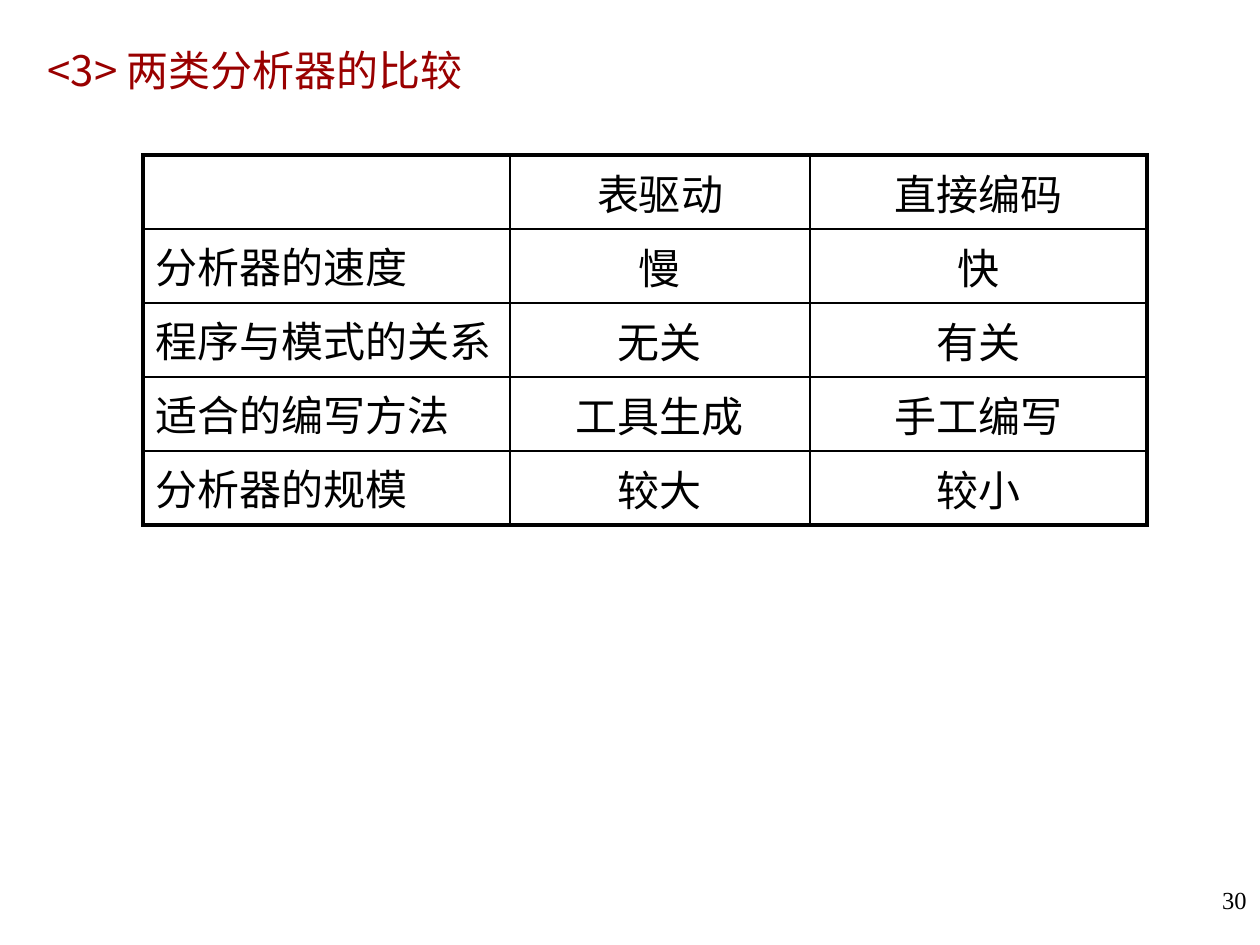
import lxml.etree
import pptx
import pptx.dml.color
import pptx.enum.text
import pptx.oxml.ns
import pptx.util

EMU_PER_PX = 914400 / 126
BLACK = pptx.dml.color.RGBColor(0x00, 0x00, 0x00)
DARK_RED = pptx.dml.color.RGBColor(0x99, 0x00, 0x00)
LATIN_FONT = "Times New Roman"
CHINESE_FONT = "Noto Sans CJK SC"
THICK, THIN = 2.25, 1
ALIGN = pptx.enum.text.PP_ALIGN
ANCHOR = pptx.enum.text.MSO_ANCHOR

COMPARISON = [
    ["", "表驱动", "直接编码"],
    ["分析器的速度", "慢", "快"],
    ["程序与模式的关系", "无关", "有关"],
    ["适合的编写方法", "工具生成", "手工编写"],
    ["分析器的规模", "较大", "较小"],
]


def px(length):
    return pptx.util.Emu(round(length * EMU_PER_PX))


def add_child(parent, tag, **attributes):
    return lxml.etree.SubElement(parent, pptx.oxml.ns.qn(tag), **attributes)


class SlideBuilder:
    """Holds the current slide and its text style."""

    def __init__(self, slide, text_size=24):
        self.slide = slide
        self.text_size = text_size

    def add_span(self, para, text, align, size=None, font=LATIN_FONT, color=BLACK):
        para.alignment = align
        span = para.add_run()
        span.text = text
        span.font.size = pptx.util.Pt(size or self.text_size)
        span.font.bold = False
        span.font.name = font
        span.font.color.rgb = color
        add_child(span.font._element, "a:ea", typeface=CHINESE_FONT)

    def title(self, text, left, top, width, height):
        box = self.slide.shapes.title
        box.left, box.top, box.width, box.height = map(px, (left, top, width, height))
        box.text_frame.vertical_anchor = ANCHOR.MIDDLE
        self.add_span(box.text_frame.paragraphs[0], text, ALIGN.LEFT,
                      font=CHINESE_FONT, color=DARK_RED)

    def page_number(self, text, left, top, width, height):
        box = self.slide.shapes.add_textbox(*map(px, (left, top, width, height)))
        box.text_frame.word_wrap = True
        self.add_span(box.text_frame.paragraphs[0], text, ALIGN.RIGHT, size=14)

    def borders(self, cell, widths):
        """Draw the left, right, top and bottom lines, with widths in points."""
        properties = cell._tc.get_or_add_tcPr()
        for index, (side, width) in enumerate(zip("LRTB", widths)):
            line = add_child(properties, "a:ln" + side, w=str(pptx.util.Pt(width)))
            fill = add_child(line, "a:solidFill")
            add_child(fill, "a:srgbClr", val=str(BLACK))
            properties.insert(index, line)

    def table(self, rows, left, top, column_widths, row_height):
        """Add a plain grid with a thick frame and thin inner lines."""
        last_row, last_column = len(rows) - 1, len(column_widths) - 1
        frame = self.slide.shapes.add_table(
            len(rows), len(column_widths), px(left), px(top),
            px(sum(column_widths)), px(row_height * len(rows)))
        grid = frame.table
        grid.first_row = grid.horz_banding = False
        for column, width in zip(grid.columns, column_widths):
            column.width = px(width)
        for r, texts in enumerate(rows):
            grid.rows[r].height = px(row_height)
            for c, text in enumerate(texts):
                cell = grid.cell(r, c)
                cell.fill.background()
                outer = (c == 0, c == last_column, r == 0, r == last_row)
                self.borders(cell, [THICK if edge else THIN for edge in outer])
                cell.vertical_anchor = ANCHOR.MIDDLE if r and c else ANCHOR.TOP
                if text:
                    para = cell.text_frame.paragraphs[0]
                    para.space_before = pptx.util.Pt(self.text_size * 0.2)
                    self.add_span(para, text, ALIGN.CENTER if c else ALIGN.LEFT)


def main():
    deck = pptx.Presentation()
    deck.slide_width, deck.slide_height = px(1260), px(945)
    title_only = deck.slide_layouts[5]
    page = SlideBuilder(deck.slides.add_slide(title_only))
    page.title("<3> 两类分析器的比较", 35, 43, 1071, 53)
    page.table(COMPARISON, 143, 155, [367, 300, 337], 74)
    page.page_number("30", 997, 879, 262, 63)
    deck.save("out.pptx")


if __name__ == "__main__":
    main()
